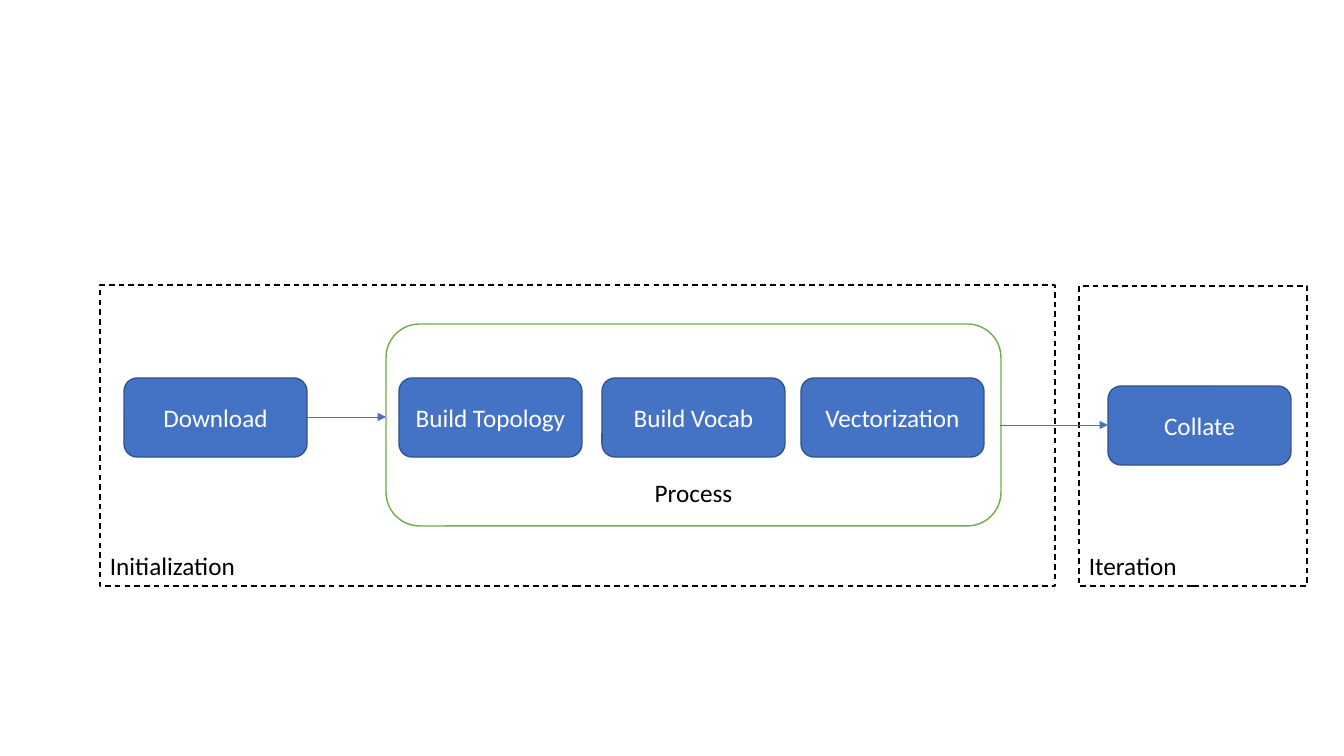
from dataclasses import dataclass

from lxml.etree import SubElement
from pptx import Presentation
from pptx.dml.color import RGBColor
from pptx.enum.dml import MSO_LINE
from pptx.enum.shapes import MSO_CONNECTOR, MSO_SHAPE
from pptx.enum.text import MSO_ANCHOR, PP_ALIGN
from pptx.oxml.ns import qn
from pptx.util import Emu, Pt

SCALE = 914400 / 100.8
WHITE, BLACK, BLUE, NAVY, GREEN = "FFFFFF", "000000", "4472C4", "325491", "70AD47"
STEP_W, STEP_H = 183, 79


@dataclass
class Box:
    """A bordered shape, in pixels, with an optional centred text."""
    left: int
    top: int
    width: int
    height: int
    fill: str = WHITE
    line: str = BLACK
    round: bool = True
    dash: bool = False
    text: str = ""
    ink: str = BLACK
    anchor: MSO_ANCHOR = MSO_ANCHOR.MIDDLE
    foot: int = 5


@dataclass
class Arrow:
    """A level arrow from one x to another."""
    start: int
    end: int
    y: int


@dataclass
class Label:
    """A caption in the corner of a stage."""
    left: int
    top: int
    text: str


def px(count: float) -> Emu:
    """Turn pixels into EMU."""
    return Emu(round(count * SCALE))


def color(code: str) -> RGBColor:
    """Turn a hex string into a colour."""
    return RGBColor.from_string(code)


def write(frame, text: str, *, ink: str = BLACK, size: int = 18,
          align: PP_ALIGN = PP_ALIGN.LEFT,
          anchor: MSO_ANCHOR = MSO_ANCHOR.TOP, foot: int = 5) -> None:
    """Put formatted text into a frame."""
    frame.word_wrap = True
    frame.vertical_anchor = anchor
    frame.margin_bottom = px(foot)
    para = frame.paragraphs[0]
    para.alignment = align
    run = para.add_run()
    run.text = text
    run.font.name = "Calibri"
    run.font.size = Pt(size)
    run.font.color.rgb = color(ink)


def draw_box(slide, box: Box) -> None:
    """Draw a stage, group or step."""
    kind = MSO_SHAPE.ROUNDED_RECTANGLE if box.round else MSO_SHAPE.RECTANGLE
    shape = slide.shapes.add_shape(
        kind, px(box.left), px(box.top), px(box.width), px(box.height))
    shape.shadow.inherit = False
    shape.fill.solid()
    shape.fill.fore_color.rgb = color(box.fill)
    shape.line.color.rgb = color(box.line)
    shape.line.width = Pt(1)
    if box.dash:
        shape.line.dash_style = MSO_LINE.DASH
    if box.text:
        write(shape.text_frame, box.text, ink=box.ink, align=PP_ALIGN.CENTER,
              anchor=box.anchor, foot=box.foot)


def draw_arrow(slide, arrow: Arrow) -> None:
    """Draw a thin line with a triangle at its end."""
    link = slide.shapes.add_connector(
        MSO_CONNECTOR.STRAIGHT, px(arrow.start), px(arrow.y),
        px(arrow.end), px(arrow.y))
    link.line.color.rgb = color(BLUE)
    link.line.width = Pt(0.5)
    SubElement(link.line._get_or_add_ln(), qn("a:tailEnd"), type="triangle")
    SubElement(link._element.spPr, qn("a:effectLst"))


def draw_label(slide, label: Label) -> None:
    """Draw the caption of a stage."""
    area = slide.shapes.add_textbox(
        px(label.left), px(label.top), px(153), px(40))
    write(area.text_frame, label.text)


def stage(left: int, top: int, width: int, height: int) -> Box:
    """Describe a dashed stage frame."""
    return Box(left, top, width, height, round=False, dash=True)


def step(left: int, text: str, top: int = 378) -> Box:
    """Describe a blue step."""
    return Box(left, top, STEP_W, STEP_H, fill=BLUE, line=NAVY,
               text=text, ink=WHITE)


BOXES = [
    stage(1079, 286, 228, 300),
    stage(100, 285, 955, 301),
    step(124, "Download"),
    Box(386, 324, 615, 202, line=GREEN, text="Process",
        anchor=MSO_ANCHOR.BOTTOM, foot=9),
    step(399, "Build Topology"),
    step(602, "Build Vocab"),
    step(801, "Vectorization"),
    step(1108, "Collate", top=386),
]
ARROWS = [Arrow(307, 386, 417), Arrow(1000, 1108, 425)]
LABELS = [Label(100, 545, "Initialization"), Label(1079, 545, "Iteration")]


def main() -> None:
    """Build the slide and save it."""
    deck = Presentation()
    deck.slide_width, deck.slide_height = px(1344), px(756)
    slide = deck.slides.add_slide(deck.slide_layouts[6])
    for box in BOXES:
        draw_box(slide, box)
    for arrow in ARROWS:
        draw_arrow(slide, arrow)
    for label in LABELS:
        draw_label(slide, label)
    deck.save("out.pptx")


main()
